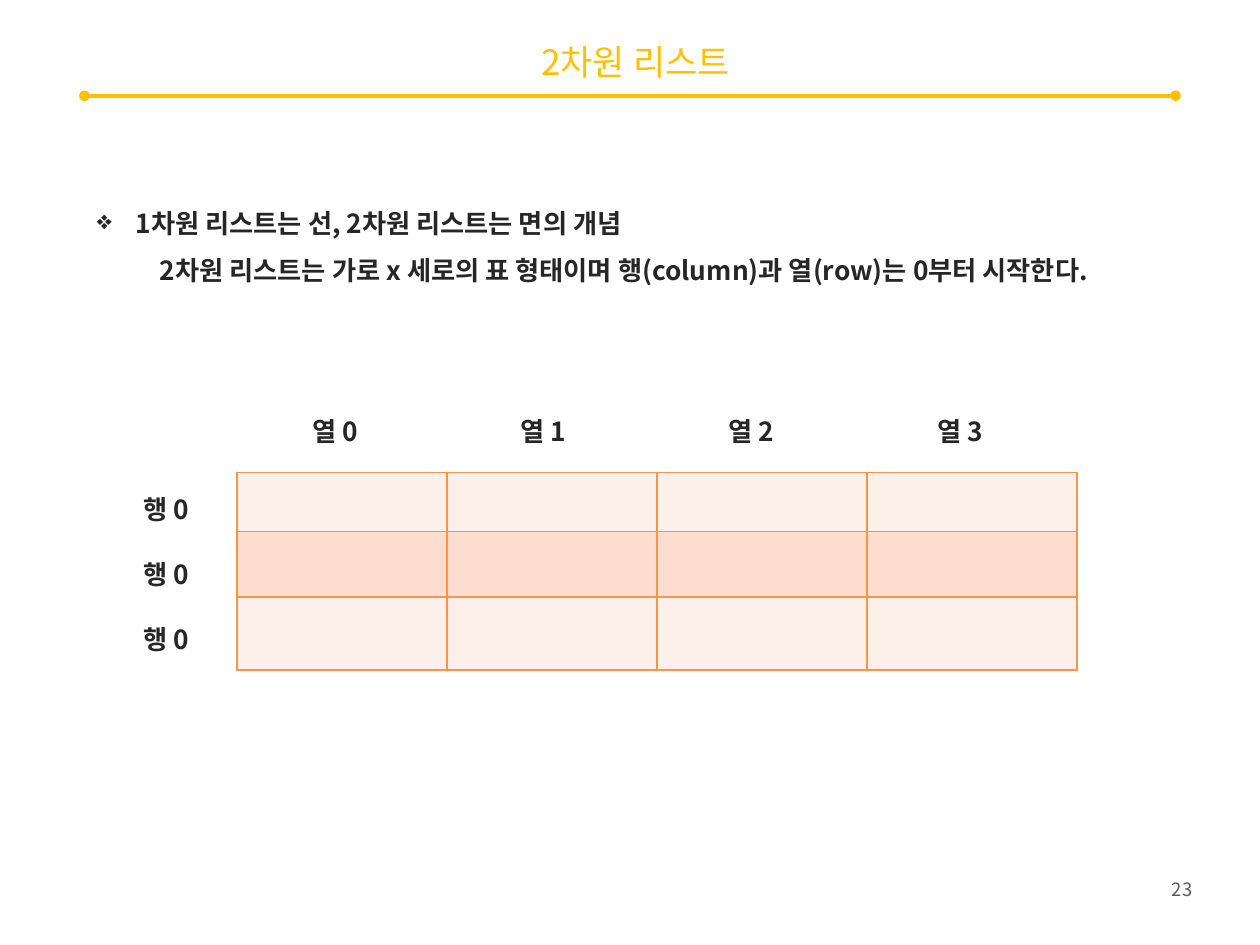
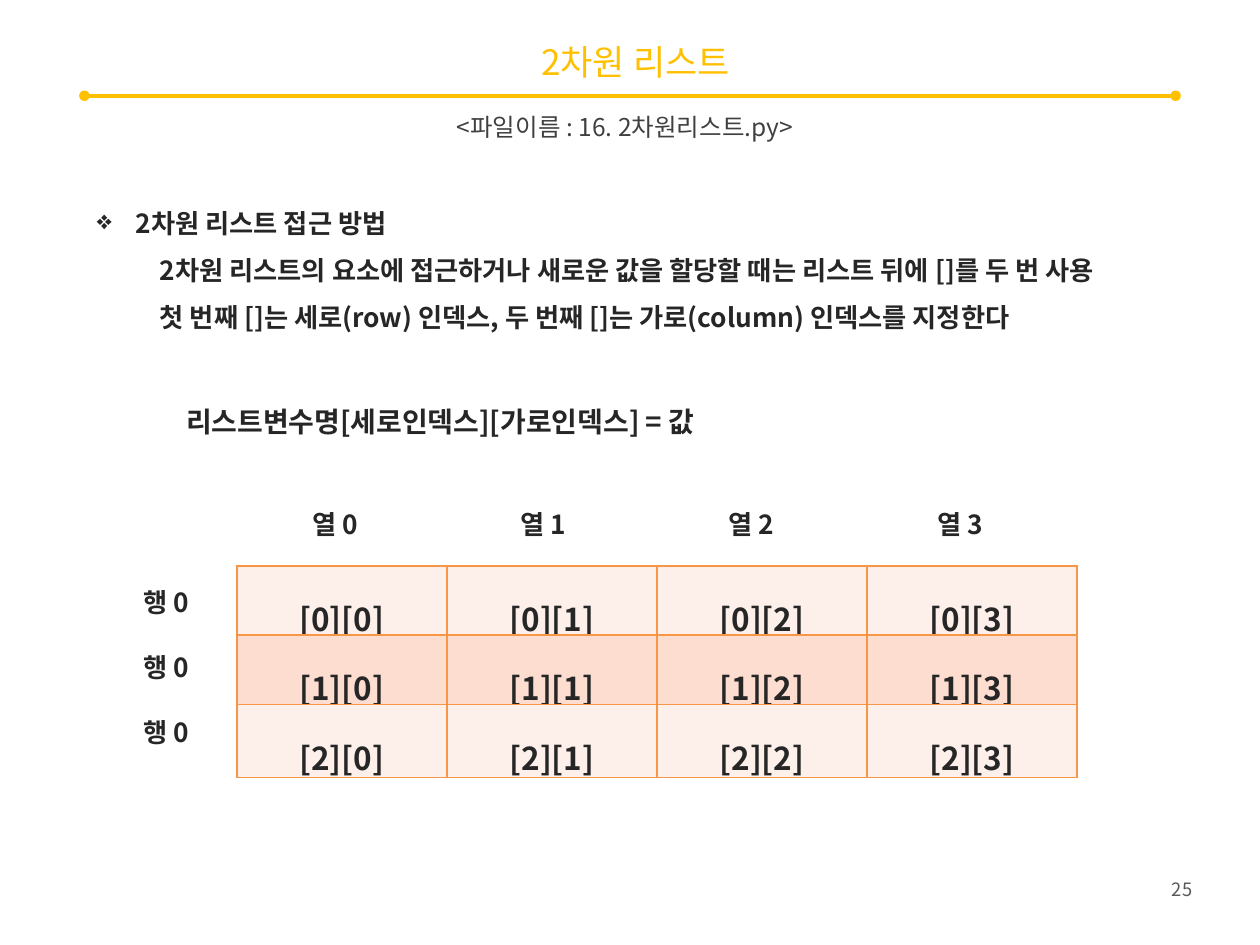
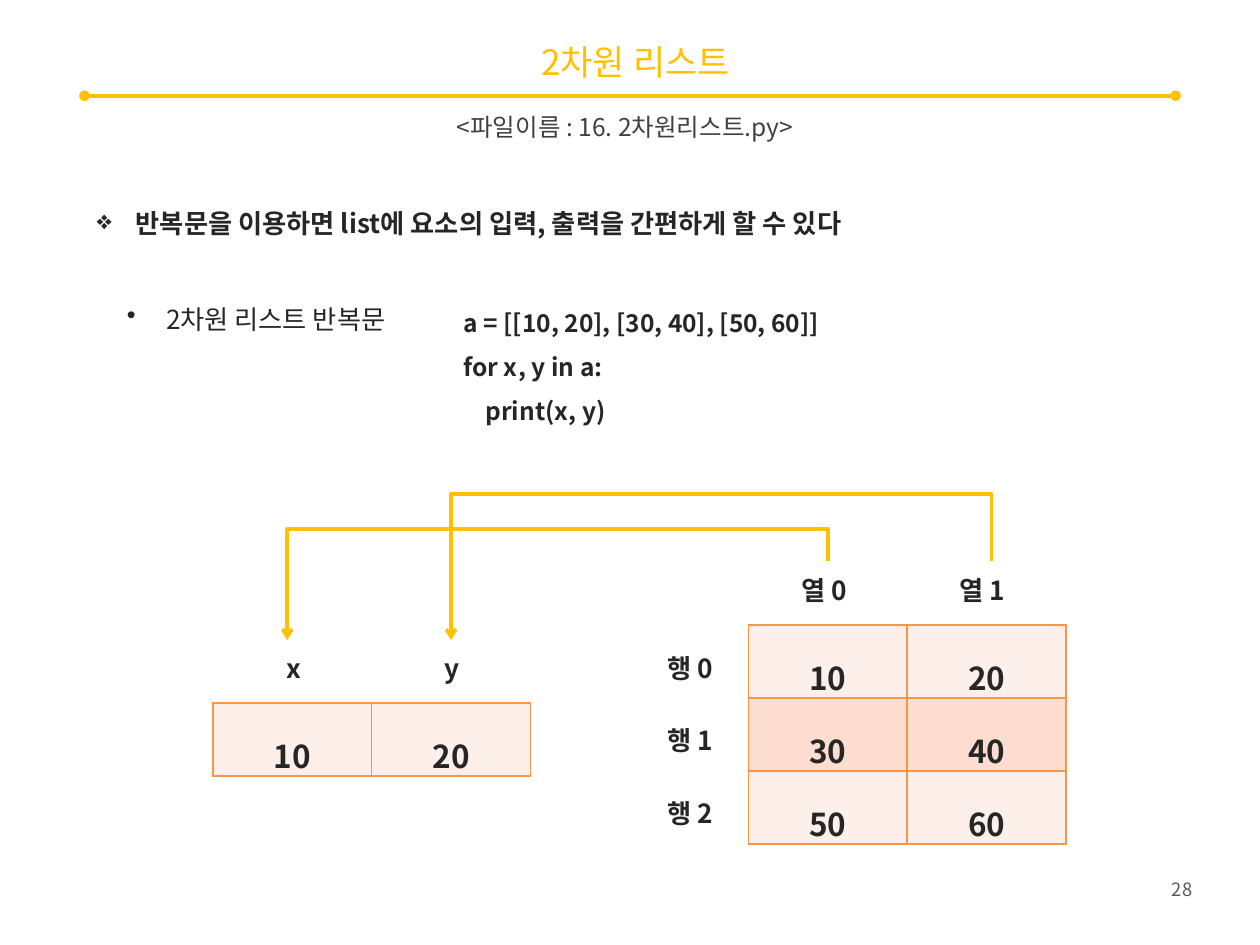
from dataclasses import dataclass
from typing import NamedTuple

from pptx import Presentation
from pptx.dml.color import RGBColor
from pptx.enum.shapes import MSO_CONNECTOR, MSO_SHAPE
from pptx.enum.text import MSO_ANCHOR, PP_ALIGN
from pptx.oxml.ns import qn
from pptx.util import Inches, Pt
from lxml import etree

LEFT, MID, RIGHT = PP_ALIGN.LEFT, PP_ALIGN.CENTER, PP_ALIGN.RIGHT
TOP, MIDDLE = MSO_ANCHOR.TOP, MSO_ANCHOR.MIDDLE
STRAIGHT, ELBOW = MSO_CONNECTOR.STRAIGHT, MSO_CONNECTOR.ELBOW
RECT = MSO_SHAPE.RECTANGLE

WIDE, HIGH = Inches(10), Inches(7.5)
COLS, ROWS = 100, 75
FONT = "Noto Sans CJK KR"
GOLD, INK, SOFT, GREY = "FFC000", "262626", "404040", "595959"
EDGE, BANDS = "F79646", ("FDEFE9", "FCDDCF")
TITLE = "2차원 리스트"
FILE = "<파일이름 : 16. 2차원리스트.py>"


class Box(NamedTuple):
    """A place on the slide, in grid columns and rows."""
    x: float
    y: float
    w: float
    h: float


class Style(NamedTuple):
    size: float = 15
    color: str = INK
    bold: bool = True
    align: PP_ALIGN = LEFT
    space: float = 1.5
    anchor: MSO_ANCHOR = TOP


class Line(NamedTuple):
    text: str
    indent: float = 0
    hang: float = 0
    bullet: str = ""
    level: int = 0


class Labels(NamedTuple):
    """Texts at equal steps from a first place."""
    texts: list[str]
    x: float
    y: float
    dx: float = 0
    dy: float = 0
    align: PP_ALIGN = LEFT


@dataclass
class Grid:
    x: float
    y: float
    width: float
    rows: list[float]
    cells: list[list[str]]
    labels: list[Labels]
    anchor: MSO_ANCHOR = TOP


BODY = Style()
HEAD = Style(20, GOLD, False, MID, 1, MIDDLE)
NOTE = Style(14, SOFT, False, MID, 1)
PAGE = Style(10.5, GREY, False, RIGHT, 1)
CELL = Style(18, align=MID)


def col(n: float) -> int:
    return round(WIDE * n / COLS)


def row(n: float) -> int:
    return round(HIGH * n / ROWS)


def rgb(code: str) -> RGBColor:
    return RGBColor.from_string(code)


def sub(parent, tag: str, **attrs: str):
    return etree.SubElement(parent, qn(tag), attrs)


def place(box: Box) -> tuple[int, int, int, int]:
    return col(box.x), row(box.y), col(box.w), row(box.h)


def write(frame, lines: list[Line], style: Style) -> None:
    for i, line in enumerate(lines):
        para = frame.add_paragraph() if i else frame.paragraphs[0]
        para.text, para.level = line.text, line.level
        para.alignment, para.line_spacing = style.align, style.space
        props = para._p.get_or_add_pPr()
        props.set("marL", str(col(line.indent)))
        props.set("indent", str(-col(line.hang)))
        if line.bullet:
            sub(props, "a:buChar", char=line.bullet)
        font = para.font
        font.name, font.size, font.bold = FONT, Pt(style.size), style.bold
        font.color.rgb = rgb(style.color)
        sub(font._element, "a:ea", typeface=FONT)


def add_text(slide, box: Box, lines: list[Line], style: Style = BODY) -> None:
    frame = slide.shapes.add_textbox(*place(box)).text_frame
    frame.word_wrap, frame.vertical_anchor = True, style.anchor
    write(frame, lines, style)


def add_code(slide, box: Box, lines: list[Line], size: float) -> None:
    shape = slide.shapes.add_shape(RECT, *place(box))
    shape.shadow.inherit = False
    shape.fill.background()
    shape.line.fill.background()
    shape.text_frame.vertical_anchor = TOP
    write(shape.text_frame, lines, Style(size))


def add_line(slide, kind, start: tuple[int, int], end: tuple[int, int],
             **ends: str):
    """Draw a gold connector; ends maps headEnd and tailEnd to a type."""
    line = slide.shapes.add_connector(kind, *start, *end)
    line.line.color.rgb, line.line.width = rgb(GOLD), Pt(2)
    for tag, form in ends.items():
        sub(line.line._get_or_add_ln(), f"a:{tag}", type=form)
    sub(line._element.spPr, "a:effectLst")
    return line


def add_bend(slide, x1: float, x2: float, y1: float, y2: float,
             peak: float) -> None:
    """Lead an arrow up from (x1, y1) to peak, across, and down to (x2, y2)."""
    mid_x, mid_y = col((x1 + x2) / 2), row((y1 + y2) / 2)
    half_w, half_h = row((y2 - y1) / 2), col((x1 - x2) / 2)
    line = add_line(slide, ELBOW, (mid_x + half_w, mid_y + half_h),
                    (mid_x - half_w, mid_y - half_h), tailEnd="arrow")
    props = line._element.spPr
    props.find(qn("a:xfrm")).set("rot", str(270 * 60000))
    shape = props.find(qn("a:prstGeom"))
    guides = shape.find(qn("a:avLst"))
    if guides is None:
        guides = sub(shape, "a:avLst")
    share = round((peak - y1) / (y2 - y1) * 100000)
    sub(guides, "a:gd", name="adj1", fmla=f"val {share}")


def edge(cell) -> None:
    props = cell._tc.get_or_add_tcPr()
    for i, side in enumerate("LRTB"):
        line = sub(props, f"a:ln{side}", w=str(Pt(1)))
        sub(sub(line, "a:solidFill"), "a:srgbClr", val=EDGE)
        props.insert(i, line)


def add_grid(slide, grid: Grid) -> None:
    count = len(grid.cells[0])
    box = Box(grid.x, grid.y, grid.width * count, sum(grid.rows))
    table = slide.shapes.add_table(len(grid.rows), count, *place(box)).table
    for column in table.columns:
        column.width = col(grid.width)
    for r, (high, texts) in enumerate(zip(grid.rows, grid.cells)):
        table.rows[r].height = row(high)
        for c, text in enumerate(texts):
            cell = table.cell(r, c)
            cell.fill.solid()
            cell.fill.fore_color.rgb = rgb(BANDS[r % 2])
            cell.vertical_anchor = grid.anchor
            edge(cell)
            if text:
                write(cell.text_frame, [Line(text)], CELL)
    for group in grid.labels:
        for i, text in enumerate(group.texts):
            spot = Box(group.x + i * group.dx, group.y + i * group.dy, 6.4, 4.8)
            add_text(slide, spot, [Line(text)], Style(align=group.align))


def wide_grid(y: float, cells: list[list[str]]) -> Grid:
    heads = Labels([f"열 {i}" for i in range(4)], 23.8, y - 6.3, dx=16.53)
    sides = Labels(["행 0"] * 3, 10.4, y - 0.1, dy=5.15)
    return Grid(18.8, y, 16.67, [4.7, 5.2, 5.8], cells, [heads, sides])


def add_page(deck, number: int, lead: str, *more: str, file: bool = True):
    """Add a slide with its title, rule, page number and opening lines."""
    slide = deck.slides.add_slide(deck.slide_layouts[6])
    add_line(slide, STRAIGHT, (col(6.7), row(7.6)), (col(93.3), row(7.6)),
             headEnd="oval", tailEnd="oval")
    add_text(slide, Box(89.7, 69.2, 5.9, 2.9), [Line(str(number))], PAGE)
    add_text(slide, Box(8.3, 3, 84.3, 3.8), [Line(TITLE)], HEAD)
    if file:
        add_text(slide, Box(6.7, 8.4, 85.8, 3.4), [Line(FILE)], NOTE)
    lines = [Line(lead, 3.1, 3.1, "❖")]
    lines += [Line(text, 5, level=1) for text in more]
    add_text(slide, Box(6.7, 14.7, 85.8, 1 + 3.8 * len(lines)), lines)
    return slide


def add_concept(deck) -> None:
    slide = add_page(
        deck, 23, "1차원 리스트는 선, 2차원 리스트는 면의 개념",
        "2차원 리스트는 가로 x 세로의 표 형태이며 행(column)과 열(row)는 0부터 시작한다.",
        file=False)
    add_grid(slide, wide_grid(37.5, [[""] * 4] * 3))


def add_access(deck) -> None:
    slide = add_page(
        deck, 25, "2차원 리스트 접근 방법",
        "2차원 리스트의 요소에 접근하거나 새로운 값을 할당할 때는 리스트 뒤에 []를 두 번 사용",
        "첫 번째 []는 세로(row) 인덱스, 두 번째 []는 가로(column) 인덱스를 지정한다")
    add_code(slide, Box(13.8, 30.3, 45.7, 5),
             [Line("리스트변수명[세로인덱스][가로인덱스] = 값")], 16)
    cells = [[f"[{r}][{c}]" for c in range(4)] for r in range(3)]
    add_grid(slide, wide_grid(44.9, cells))


def add_loop(deck) -> None:
    slide = add_page(
        deck, 28, "반복문을 이용하면 list에 요소의 입력, 출력을 간편하게 할 수 있다")
    code = [Line("a = [[10, 20], [30, 40], [50, 60]]"),
            Line("for x, y in a:"), Line("print(x, y)", 1.75)]
    add_code(slide, Box(35.8, 22.8, 32.3, 11.6), code, 14)
    add_text(slide, Box(9.1, 22.3, 29.7, 4.4),
             [Line("2차원 리스트 반복문", 3.1, 3.1, "•")], Style(bold=False))
    wide, high = 12.6, 5.8
    values = [["10", "20"], ["30", "40"], ["50", "60"]]
    heads = Labels(["열 0", "열 1"], 62.6, 43.8, dx=wide)
    sides = Labels(["행 0", "행 1", "행 2"], 52, 50, dy=5.75)
    names = Labels(["x", "y"], 20.1, 50, dx=wide, align=MID)
    add_grid(slide, Grid(59.4, 49.6, wide, [high] * 3, values,
                         [heads, sides], MIDDLE))
    add_grid(slide, Grid(16.9, 55.8, wide, [high], values[:1],
                         [names], MIDDLE))
    for start, end, peak in ((65.7, 22.8, 42), (78.7, 35.8, 39.2)):
        add_bend(slide, start, end, 44.5, 50.8, peak)


def main() -> None:
    deck = Presentation()
    deck.slide_width, deck.slide_height = WIDE, HIGH
    for build in (add_concept, add_access, add_loop):
        build(deck)
    deck.save("out.pptx")


if __name__ == "__main__":
    main()
